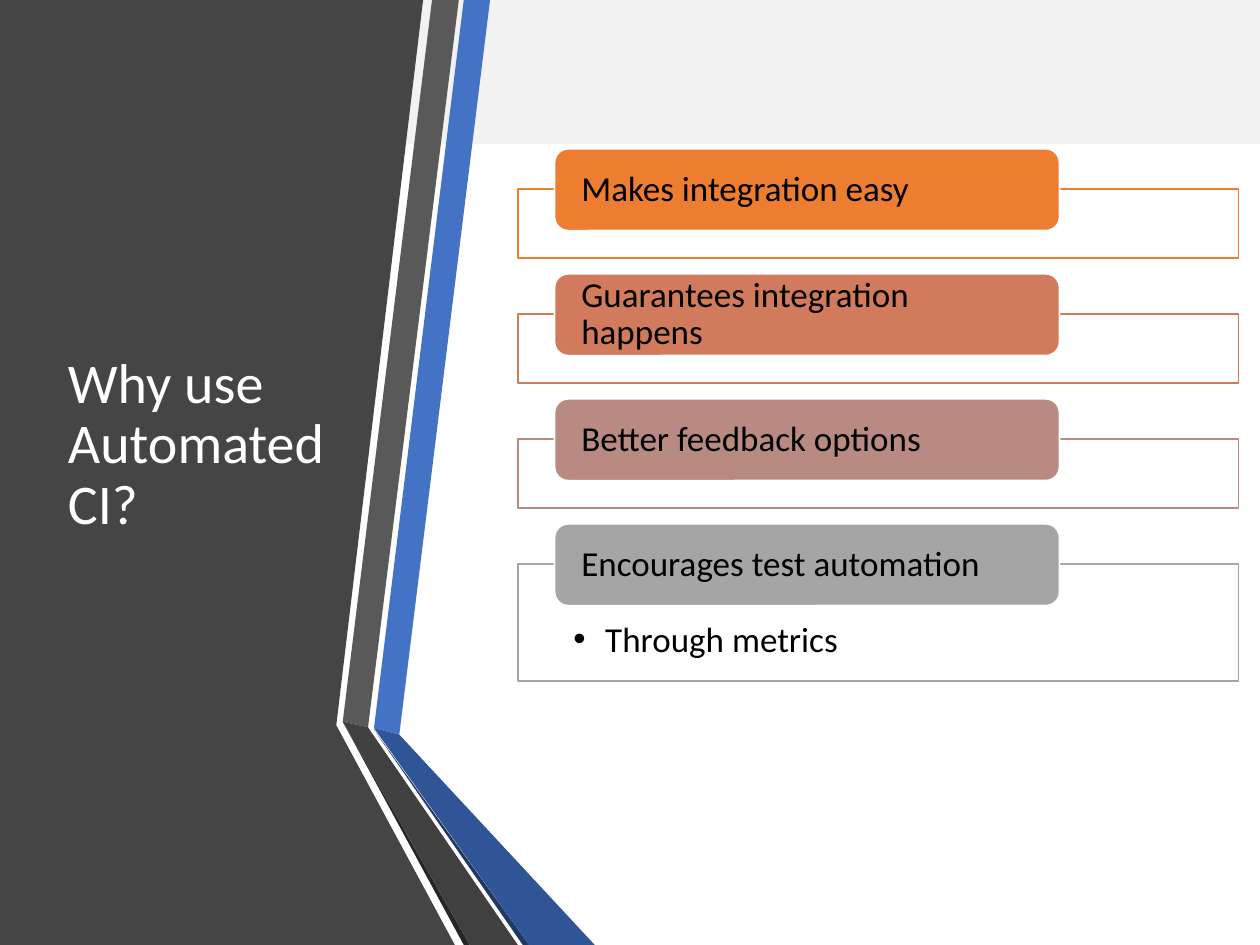
from dataclasses import dataclass

from pptx import Presentation
from pptx import util as u
from pptx.dml.color import RGBColor
from pptx.enum import shapes, text


@dataclass(frozen=True)
class Theme:
    font: str = "Calibri"
    title_size: int = 32
    text_size: int = 20
    ink: str = "000000"
    paper: str = "FFFFFF"
    header: str = "F2F2F2"
    panel: str = "454545"
    blue: str = "4472C4"
    blue_fold: str = "2F5597"
    blue_edge: str = "203864"
    gray: str = "595959"
    gray_fold: str = "404040"
    gray_edge: str = "262626"
    rows: tuple = ("ED7D31", "D17B5C", "B98A82", "A5A5A5")


def write(sp, words, *, size, color, font, anchor=text.MSO_ANCHOR.MIDDLE,
          insets=(0.25, 0.13, 0.25, 0.13), hanging=0):
    """Put one left-aligned paragraph into a shape or placeholder."""
    tf = sp.text_frame
    tf.word_wrap = True
    tf.auto_size = text.MSO_AUTO_SIZE.NONE
    tf.vertical_anchor = anchor
    tf.margin_left, tf.margin_top, tf.margin_right, tf.margin_bottom = map(u.Cm, insets)
    p = tf.paragraphs[0]
    p.alignment = text.PP_ALIGN.LEFT
    p.line_spacing = 0.9
    p.space_before = u.Pt(0)
    if hanging:
        pPr = p._p.get_or_add_pPr()
        pPr.set("marL", str(u.Cm(hanging)))
        pPr.set("indent", str(-u.Cm(hanging)))
    r = p.add_run()
    r.text = words
    r.font.name, r.font.size = font, u.Pt(size)
    r.font.color.rgb = RGBColor.from_string(color)


class Deck:
    """Holds the theme and the current slide."""

    def __init__(self, theme, width, height):
        self.theme = theme
        self.prs = Presentation()
        self.prs.slide_width, self.prs.slide_height = u.Cm(width), u.Cm(height)
        self.s = self.prs.slides.add_slide(self.prs.slide_layouts[1])

    def paint(self, sp, fill, line=None):
        sp.shadow.inherit = False
        sp.fill.solid()
        sp.fill.fore_color.rgb = RGBColor.from_string(fill)
        if line:
            sp.line.color.rgb = RGBColor.from_string(line)
            sp.line.width = u.Pt(1)
        else:
            sp.line.fill.background()
        return sp

    def box(self, kind, at, fill, line=None):
        sp = self.s.shapes.add_shape(kind, *map(u.Cm, at))
        return self.paint(sp, fill, line)

    def polygon(self, points, fill):
        start, *rest = [(u.Cm(x), u.Cm(y)) for x, y in points]
        fb = self.s.shapes.build_freeform(*start, scale=1.0)
        fb.add_line_segments(rest, close=True)
        return self.paint(fb.convert_to_shape(), fill)

    def placeholder(self, index, at, words, **style):
        sp = self.s.placeholders[index]
        sp.left, sp.top, sp.width, sp.height = map(u.Cm, at)
        self.s.shapes._spTree.append(sp._element)  # bring to front
        write(sp, words, font=self.theme.font, **style)

    def tag(self, at, words, fill):
        t = self.theme
        sp = self.box(shapes.MSO_SHAPE.ROUNDED_RECTANGLE, at, fill, t.paper)
        write(sp, words, size=t.text_size, color=t.ink, font=t.font,
              insets=(0.46, 0, 0.46, 0))


def main():
    t = Theme()
    width, height = 25.4, 19.05
    deck = Deck(t, width, height)
    rect = shapes.MSO_SHAPE.RECTANGLE

    # Header band and dark title panel
    deck.box(rect, (0, 0, width, 2.9), t.header)
    deck.polygon([(0, 0), (8.53, 0), (6.78, 14.62), (9.17, height), (0, height)], t.panel)

    # Folded ribbons beside the panel
    ribbons = [
        (t.blue, [(7.54, 14.68), (8.05, 14.81), (9.88, 0), (9.35, 0)]),
        (t.gray, [(6.91, 14.55), (7.42, 14.66), (9.25, 0), (8.71, 0)]),
        (t.gray_edge, [(6.91, 14.55), (9.35, height), (9.47, height)]),
        (t.blue_edge, [(7.54, 14.71), (10.54, height), (10.67, height)]),
        (t.blue_fold, [(7.54, 14.68), (10.67, height), (11.99, height), (8.05, 14.81)]),
        (t.gray_fold, [(6.91, 14.55), (9.47, height), (10.44, height),
                       (7.52, 14.81), (7.42, 14.66)]),
    ]
    for color, points in ribbons:
        deck.polygon(points, color)

    # Title
    deck.placeholder(0, (1.12, 1.9, 5.79, 14.17), "Why use Automated CI?",
                     size=t.title_size, color=t.paper)

    # Reasons: an outlined frame with a tag over its top edge
    reasons = ["Makes integration easy", "Guarantees integration happens",
               "Better feedback options", "Encourages test automation"]
    top, pitch, drop = 3, 2.52, 0.81
    for i, (reason, color) in enumerate(zip(reasons, t.rows)):
        y = top + i * pitch
        last = i == len(reasons) - 1
        frame = (10.44, y + drop, 14.53, 2.36 if last else 1.4)
        deck.box(rect, frame, t.paper, color)
        if last:
            deck.placeholder(1, frame, "Through metrics", size=t.text_size, color=t.ink,
                             anchor=text.MSO_ANCHOR.TOP,
                             insets=(1.12, 1.17, 1.12, 0.4), hanging=0.64)
        deck.tag((11.18, y, 10.18, 1.65), reason, color)

    deck.prs.save("out.pptx")


if __name__ == "__main__":
    main()
